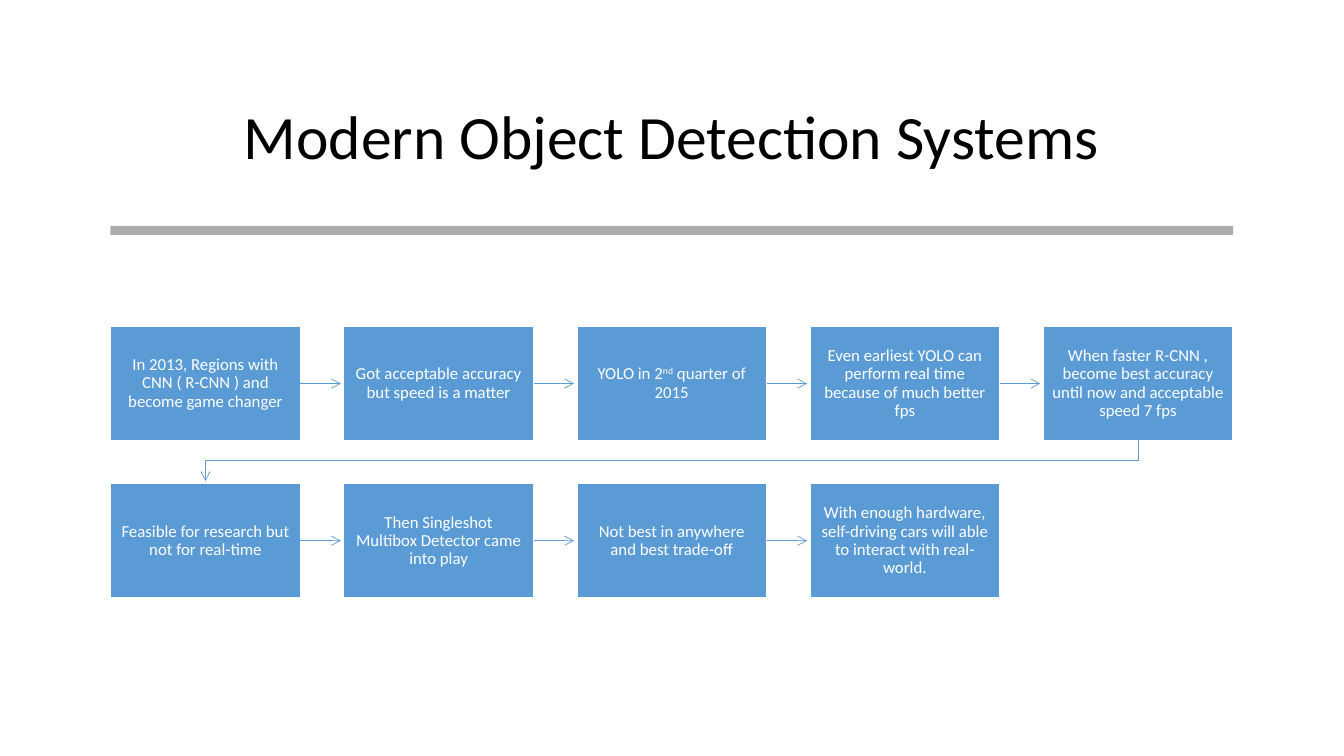
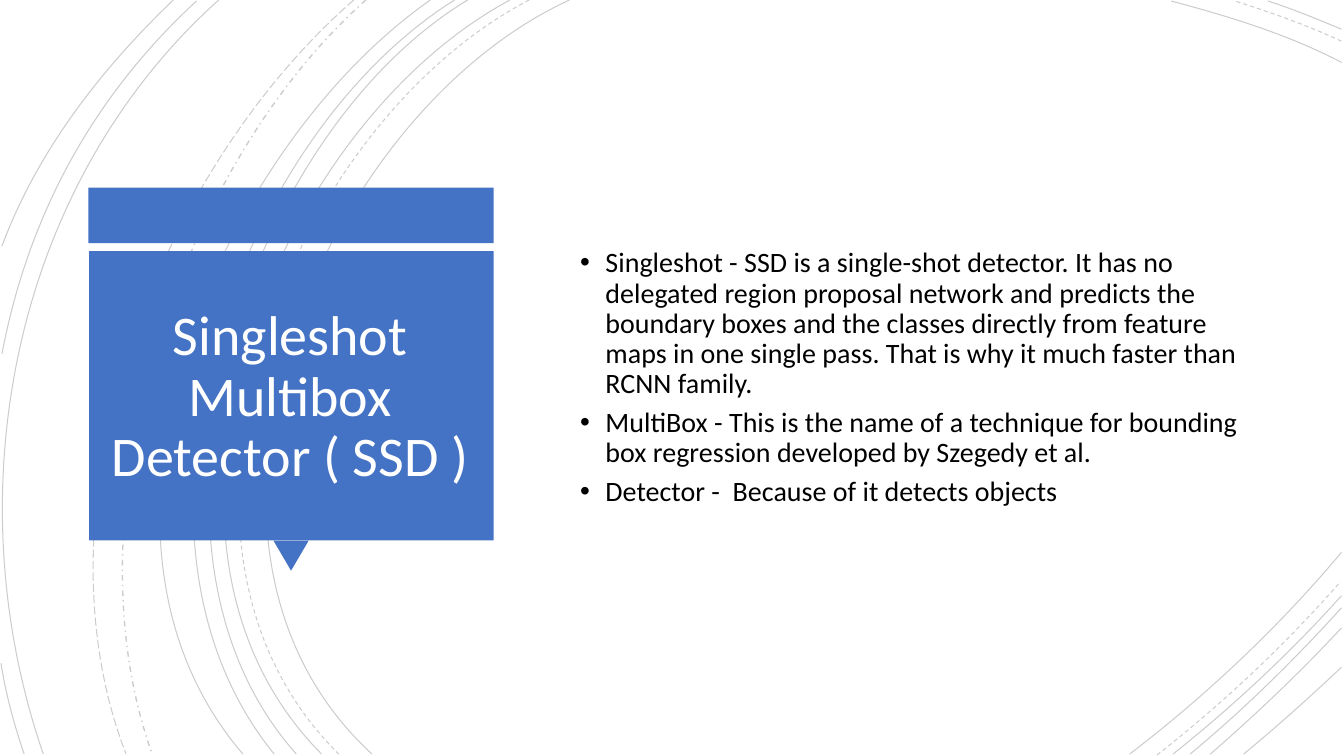
from lxml import etree
from pptx import Presentation
from pptx import util as u
from pptx.dml.color import RGBColor
from pptx.enum import dml, shapes, text
from pptx.oxml.ns import qn

COLOURS = {
    "ink": "000000",
    "paper": "FFFFFF",
    "rule": "808080",
    "step": "5B9BD5",
    "panel": "4472C4",
}
FONT = "Calibri"
LINE = dml.MSO_LINE
SHAPE = shapes.MSO_SHAPE
CONNECTOR = shapes.MSO_CONNECTOR

STEPS = [
    [
        "In 2013, Regions with CNN ( R-CNN ) and become game changer",
        "Got acceptable accuracy but speed is a matter",
        "YOLO in 2^nd^ quarter of 2015",
        "Even earliest YOLO can perform real time because of much better fps",
        "When faster R-CNN , become best accuracy until now and acceptable speed 7 fps",
    ],
    [
        "Feasible for research but not for real-time",
        "Then Singleshot Multibox Detector came into play",
        "Not best in anywhere and best trade-off",
        "With enough hardware, self-driving cars will able to interact with real-world.",
    ],
]

TERMS = [
    "Singleshot - SSD is a single-shot detector. It has no delegated region proposal "
    "network and predicts the boundary boxes and the classes directly from feature maps "
    "in one single pass. That is why it much faster than RCNN family.",
    "MultiBox - This is the name of a technique for bounding box regression developed "
    "by Szegedy et al.",
    "Detector -  Because of it detects objects",
]

# Start, two control points and end of each arc, in units of 0.0254 cm.
ARCS = {
    LINE.SOLID: [
        [(565, 0), (315, 115), (143, 540), (369, 748)],
        [(1331, 62), (1278, 34), (1218, 16), (1162, 1)],
        [(1121, 748), (1197, 690), (1269, 622), (1331, 548)],
        [(506, 0), (270, 127), (110, 537), (319, 748)],
        [(1331, 29), (1307, 19), (1283, 9), (1258, 1)],
        [(1164, 748), (1223, 701), (1280, 648), (1331, 591)],
        [(464, 0), (244, 133), (110, 541), (294, 748)],
        [(1181, 748), (1234, 704), (1284, 655), (1331, 603)],
        [(451, 0), (231, 138), (97, 533), (272, 748)],
        [(1201, 748), (1246, 709), (1290, 667), (1331, 623)],
        [(427, 0), (217, 147), (53, 529), (241, 748)],
        [(1234, 748), (1267, 721), (1299, 692), (1331, 662)],
        [(217, 0), (11, 185), (-46, 490), (43, 748)],
        [(195, 1), (92, 96), (28, 214), (2, 351)],
        [(1, 658), (6, 689), (14, 719), (24, 748)],
        [(172, 0), (100, 69), (37, 150), (2, 244)],
    ],
    LINE.DASH: [
        [(525, 0), (285, 125), (123, 537), (336, 748)],
        [(1331, 41), (1297, 25), (1260, 12), (1225, 1)],
        [(1148, 749), (1213, 698), (1275, 640), (1330, 577)],
    ],
    LINE.DASH_DOT: [[(363, 0), (176, 166), (65, 509), (151, 748)]],
    LINE.LONG_DASH: [[(351, 0), (157, 169), (29, 499), (125, 748)]],
}


def rgb(name):
    return RGBColor.from_string(COLOURS[name])


def set_opacity(element, percent):
    for colour in element.iter(qn("a:srgbClr")):
        etree.SubElement(colour, qn("a:alpha"), val=str(percent * 1000))


def add_text_shadow(span):
    effects = etree.Element(qn("a:effectLst"))
    shadow = etree.SubElement(
        effects, qn("a:outerShdw"), blurRad="38100", dist="38100", dir="2700000"
    )
    colour = etree.SubElement(shadow, qn("a:srgbClr"), val=COLOURS["ink"])
    etree.SubElement(colour, qn("a:alpha"), val="43000")
    span._r.get_or_add_rPr().find(qn("a:solidFill")).addnext(effects)


def add_bullet(para):
    props = para._p.get_or_add_pPr()
    props.set("marL", str(u.Cm(0.79)))
    props.set("indent", str(u.Cm(-0.64)))
    etree.SubElement(props, qn("a:buFont"), typeface="Arial")
    etree.SubElement(props, qn("a:buChar"), char="•")


def write(frame, lines, size, colour="ink", align=text.PP_ALIGN.CENTER,
          after=0, bullet=False, shadow=False, insets=(0.25, 0.13)):
    """Fill a text frame; words between ^ marks are superscript."""
    frame.word_wrap = True
    frame.auto_size = text.MSO_AUTO_SIZE.NONE
    frame.vertical_anchor = text.MSO_ANCHOR.MIDDLE
    frame.margin_left = frame.margin_right = u.Cm(insets[0])
    frame.margin_top = frame.margin_bottom = u.Cm(insets[1])
    for index, line in enumerate(lines):
        para = frame.add_paragraph() if index else frame.paragraphs[0]
        if bullet:
            add_bullet(para)
        para.alignment = align
        para.line_spacing = 0.9
        para.space_before = u.Pt(0)
        para.space_after = u.Pt(after)
        for part, words in enumerate(line.split("^")):
            span = para.add_run()
            span.text = words
            span.font.name = FONT
            span.font.size = u.Pt(size)
            span.font.color.rgb = rgb(colour)
            if part % 2:
                span._r.get_or_add_rPr().set("baseline", "30000")
            if shadow:
                add_text_shadow(span)


class Slides:
    def __init__(self):
        self.deck = Presentation()
        self.deck.slide_width = u.Cm(33.87)
        self.deck.slide_height = u.Cm(19.05)
        self.page = None

    def new_page(self):
        self.page = self.deck.slides.add_slide(self.deck.slide_layouts[5])

    def title(self, words, left, top, width, height, **style):
        """Place the title in front of what is drawn so far."""
        box = self.page.shapes.title
        box.left, box.top = u.Cm(left), u.Cm(top)
        box.width, box.height = u.Cm(width), u.Cm(height)
        write(box.text_frame, [words], **style)
        self.page.shapes._spTree.append(box._element)

    def shape(self, left, top, width, height, fill, kind=SHAPE.RECTANGLE, outline=None):
        box = self.page.shapes.add_shape(
            kind, u.Cm(left), u.Cm(top), u.Cm(width), u.Cm(height)
        )
        box.shadow.inherit = False
        box.fill.solid()
        box.fill.fore_color.rgb = rgb(fill)
        if outline:
            box.line.color.rgb = rgb(outline)
            box.line.width = u.Pt(1)
        else:
            box.line.fill.background()
        return box

    def text_box(self, lines, left, top, width, height, **style):
        box = self.page.shapes.add_textbox(
            u.Cm(left), u.Cm(top), u.Cm(width), u.Cm(height)
        )
        write(box.text_frame, lines, **style)

    def arrow(self, start, end, kind=CONNECTOR.STRAIGHT):
        arrow = self.page.shapes.add_connector(
            kind, *(u.Cm(value) for value in (*start, *end))
        )
        arrow.line.color.rgb = rgb("step")
        arrow.line.width = u.Pt(0.5)
        etree.SubElement(arrow.line._get_or_add_ln(), qn("a:tailEnd"), type="arrow")
        etree.SubElement(arrow._element.spPr, qn("a:effectLst"))
        return arrow

    def return_arrow(self, start, end):
        """Draw an elbow that leaves downwards and enters from above."""
        mid_x, mid_y = (start[0] + end[0]) / 2, (start[1] + end[1]) / 2
        half_width, half_height = (start[0] - end[0]) / 2, (end[1] - start[1]) / 2
        arrow = self.arrow(
            (mid_x - half_height, mid_y - half_width),
            (mid_x + half_height, mid_y + half_width),
            CONNECTOR.ELBOW,
        )
        arrow._element.spPr.find(qn("a:xfrm")).set("rot", "5400000")

    def arc(self, points, dash):
        builder = self.page.shapes.build_freeform(*points[0], scale=u.Cm(0.0254))
        builder.add_line_segments(points[1:], close=False)
        arc = builder.convert_to_shape()
        outline = arc._element.spPr.find(".//" + qn("a:path"))
        curve = etree.SubElement(outline, qn("a:cubicBezTo"))
        for segment in outline.findall(qn("a:lnTo")):
            curve.append(segment[0])
            outline.remove(segment)
        arc.shadow.inherit = False
        arc.fill.background()
        arc.line.color.rgb = rgb("ink")
        arc.line.width = u.Pt(1 if dash == LINE.DASH_DOT else 0.75)
        arc.line.dash_style = dash
        set_opacity(arc._element.spPr, 20)


def draw_systems(slides):
    slides.new_page()
    slides.title("Modern Object Detection Systems", 2.41, 1.68, 29.03, 3.68, size=44)
    rule = slides.shape(2.78, 5.69, 28.3, 0.23, "rule")
    set_opacity(rule._element.spPr, 65)

    left, top, width, height = 2.79, 8.23, 4.78, 2.87
    column_step, row_step, reach = 5.875, 3.96, 1.02
    for row, steps in enumerate(STEPS):
        y = top + row * row_step
        for column, words in enumerate(steps):
            x = left + column * column_step
            box = slides.shape(x, y, width, height, "step", outline="paper")
            write(box.text_frame, [words], size=12, colour="paper", insets=(0.23, 0.25))
            if column < len(steps) - 1:
                middle = y + height / 2
                slides.arrow((x + width, middle), (x + width + reach, middle))
    last = left + (len(STEPS[0]) - 1) * column_step
    slides.return_arrow(
        (last + width / 2, top + height), (left + width / 2, top + height + reach)
    )


def draw_detector(slides):
    slides.new_page()
    for dash, arcs in ARCS.items():
        for points in arcs:
            slides.arc(points, dash)
    slides.shape(2.23, 4.73, 10.21, 1.4, "panel")
    pointer = slides.shape(6.89, 13.62, 0.89, 0.76, "panel", SHAPE.ISOSCELES_TRIANGLE)
    pointer.rotation = 180
    slides.shape(2.25, 6.33, 10.19, 7.29, "panel")
    slides.title("Singleshot Multibox Detector ( SSD )", 2.52, 6.71, 9.58, 6.65,
                 size=40, colour="paper", shadow=True)
    slides.text_box(TERMS, 14.22, 2.24, 17.45, 14.58, size=20,
                    align=text.PP_ALIGN.LEFT, after=6, bullet=True)


def main():
    slides = Slides()
    draw_systems(slides)
    draw_detector(slides)
    slides.deck.save("out.pptx")


if __name__ == "__main__":
    main()
